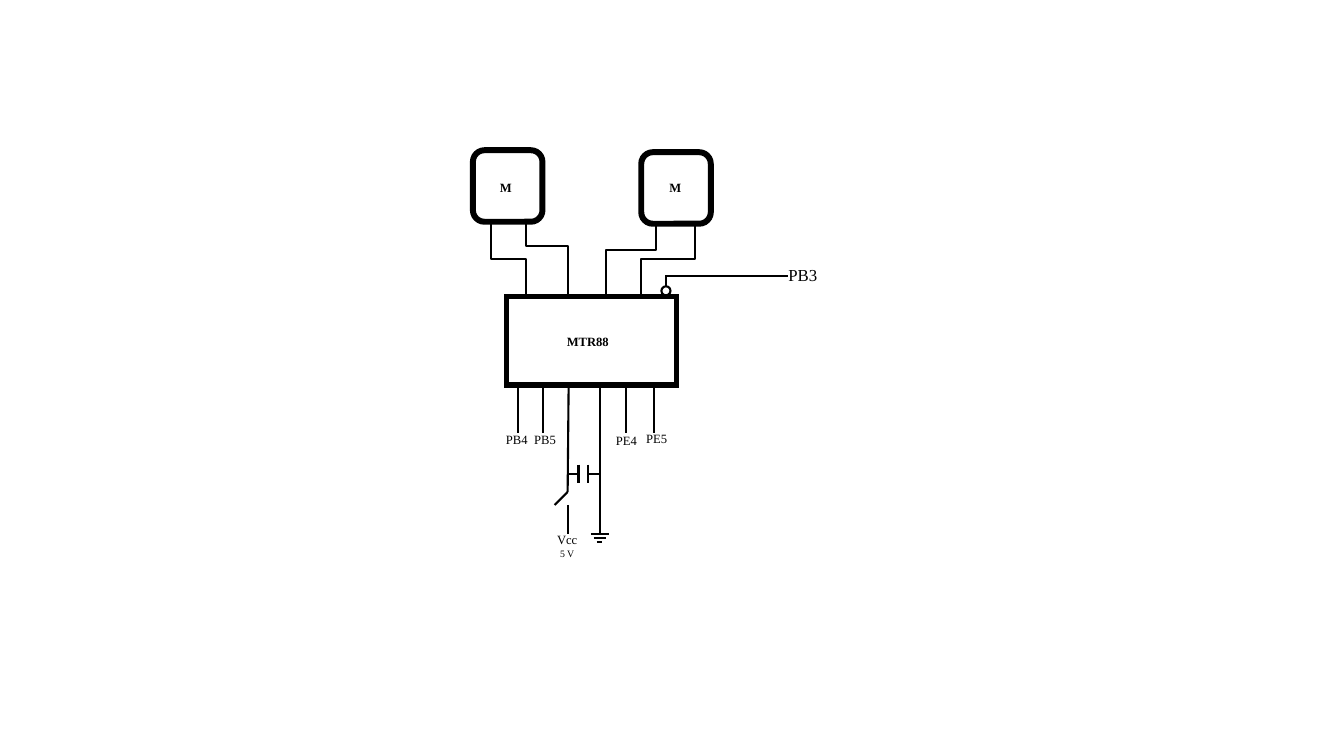
from dataclasses import dataclass

from lxml import etree
from pptx import Presentation, util as u
from pptx.dml.color import RGBColor
from pptx.enum import shapes, text
from pptx.oxml import ns

EMU_PER_PX = 9144  # 100 px to the inch
COLOURS = {"ink": "000000", "paper": "FFFFFF"}
FONT = "Times New Roman"


@dataclass(frozen=True)
class Block:
    kind: shapes.MSO_SHAPE
    left: int
    top: int
    width: int
    height: int
    weight: float


@dataclass(frozen=True)
class Wire:
    x1: int
    y1: int
    x2: int
    y2: int
    weight: float = 1.5


@dataclass(frozen=True)
class Label:
    lines: tuple[str, ...]
    left: int
    top: int
    width: int
    height: int = 25
    sizes: tuple[int, ...] = (9,)
    bold: bool = False
    centred: bool = False


BLOCKS = [
    Block(shapes.MSO_SHAPE.RECTANGLE, 502, 294, 169, 88, 3.75),
    Block(shapes.MSO_SHAPE.ROUNDED_RECTANGLE, 469, 149, 69, 71, 4.25),
    Block(shapes.MSO_SHAPE.ROUNDED_RECTANGLE, 636, 151, 69, 71, 4.25),
    Block(shapes.MSO_SHAPE.OVAL, 656, 284, 9, 9, 1.5),
]

MOTOR_LEADS = [
    Wire(487, 220, 522, 294),
    Wire(522, 222, 563, 266),
    Wire(651, 222, 601, 274),
    Wire(689, 222, 636, 292),
]

LEAD_ENDS = [Wire(563, 265, 563, 292), Wire(601, 274, 601, 294)]
ENABLE_LINE = [Wire(661, 284, 661, 274), Wire(660, 274, 782, 274)]
INPUT_PINS = [Wire(x, 382, x, 430) for x in (514, 539, 621, 649)]
SUPPLY = [
    Wire(564, 382, 563, 488),
    Wire(563, 488, 550, 501),
    Wire(563, 501, 563, 530),
    Wire(595, 383, 595, 530),
]
CAPACITOR = [Wire(x, 461, x, 479, 1.75) for x in (574, 583)] + [
    Wire(563, 470, 574, 470),
    Wire(583, 470, 594, 470),
]
GROUND = [
    Wire(left, 530 + 4 * row, right, 530 + 4 * row)
    for row, (left, right) in enumerate([(586, 604), (589, 601), (592, 597)])
]
STRAIGHT_WIRES = LEAD_ENDS + ENABLE_LINE + INPUT_PINS + SUPPLY + CAPACITOR + GROUND

LABELS = [
    Label(("PB3",), 772, 258, 49, 30, sizes=(12,)),
    Label(("PB4",), 492, 424, 42),
    Label(("PB5",), 520, 424, 42),
    Label(("PE4",), 601, 425, 41),
    Label(("PE5",), 631, 423, 41),
    Label(("Vcc", "5 V"), 542, 523, 41, 37, sizes=(9, 7), centred=True),
    Label(("MTR88",), 548, 326, 70, bold=True, centred=True),
    Label(("M",), 486, 174, 32, bold=True),
    Label(("M",), 654, 174, 32, bold=True),
]


def px(value: float) -> u.Emu:
    return u.Emu(round(value * EMU_PER_PX))


def colour(name: str) -> RGBColor:
    return RGBColor.from_string(COLOURS[name])


def style_line(line, weight: float) -> None:
    line.color.rgb = colour("ink")
    line.width = u.Pt(weight)


def draw_block(canvas, block: Block) -> None:
    shape = canvas.add_shape(
        block.kind, px(block.left), px(block.top), px(block.width), px(block.height)
    )
    shape.shadow.inherit = False
    shape.fill.solid()
    shape.fill.fore_color.rgb = colour("paper")
    style_line(shape.line, block.weight)
    outline = shape.element.spPr.find(ns.qn("a:ln"))
    etree.SubElement(outline, ns.qn("a:miter"), lim="800000")


def draw_connector(canvas, kind, wire: Wire, ends: tuple[float, ...]):
    connector = canvas.add_connector(kind, *(px(value) for value in ends))
    style_line(connector.line, wire.weight)
    etree.SubElement(connector.element.spPr, ns.qn("a:effectLst"))
    return connector


def draw_straight(canvas, wire: Wire) -> None:
    ends = (wire.x1, wire.y1, wire.x2, wire.y2)
    draw_connector(canvas, shapes.MSO_CONNECTOR.STRAIGHT, wire, ends)


def draw_elbow(canvas, wire: Wire) -> None:
    """Draw a bent wire that leaves and arrives vertically, as a turned elbow."""
    centre_x, centre_y = (wire.x1 + wire.x2) / 2, (wire.y1 + wire.y2) / 2
    rightward = wire.x2 > wire.x1
    half_run = (wire.y2 - wire.y1) / 2 * (1 if rightward else -1)
    half_rise = abs(wire.x2 - wire.x1) / 2
    ends = (centre_x + half_run, centre_y - half_rise,
            centre_x - half_run, centre_y + half_rise)
    connector = draw_connector(canvas, shapes.MSO_CONNECTOR.ELBOW, wire, ends)
    transform = connector.element.spPr.find(ns.qn("a:xfrm"))
    transform.set("rot", str((270 if rightward else 90) * 60000))


def write_text(paragraph, content: str, *, size: int, bold: bool, centred: bool) -> None:
    run = paragraph.add_run()
    run.text = content
    run.font.name = FONT
    run.font.size = u.Pt(size)
    run.font.bold = bold
    run.font.color.rgb = colour("ink")
    paragraph.alignment = text.PP_ALIGN.CENTER if centred else text.PP_ALIGN.LEFT


def draw_label(canvas, label: Label) -> None:
    box = canvas.add_textbox(
        px(label.left), px(label.top), px(label.width), px(label.height)
    )
    frame = box.text_frame
    frame.word_wrap = False
    frame.auto_size = text.MSO_AUTO_SIZE.SHAPE_TO_FIT_TEXT
    for index, (content, size) in enumerate(zip(label.lines, label.sizes)):
        paragraph = frame.add_paragraph() if index else frame.paragraphs[0]
        write_text(paragraph, content, size=size, bold=label.bold, centred=label.centred)


def main() -> None:
    presentation = Presentation()
    presentation.slide_width, presentation.slide_height = px(1333), px(750)
    slide = presentation.slides.add_slide(presentation.slide_layouts[6])
    circuit = slide.shapes.add_group_shape().shapes
    for block in BLOCKS:
        draw_block(circuit, block)
    for wire in MOTOR_LEADS:
        draw_elbow(circuit, wire)
    for wire in STRAIGHT_WIRES:
        draw_straight(circuit, wire)
    for label in LABELS:
        draw_label(circuit, label)
    presentation.save("out.pptx")


if __name__ == "__main__":
    main()
